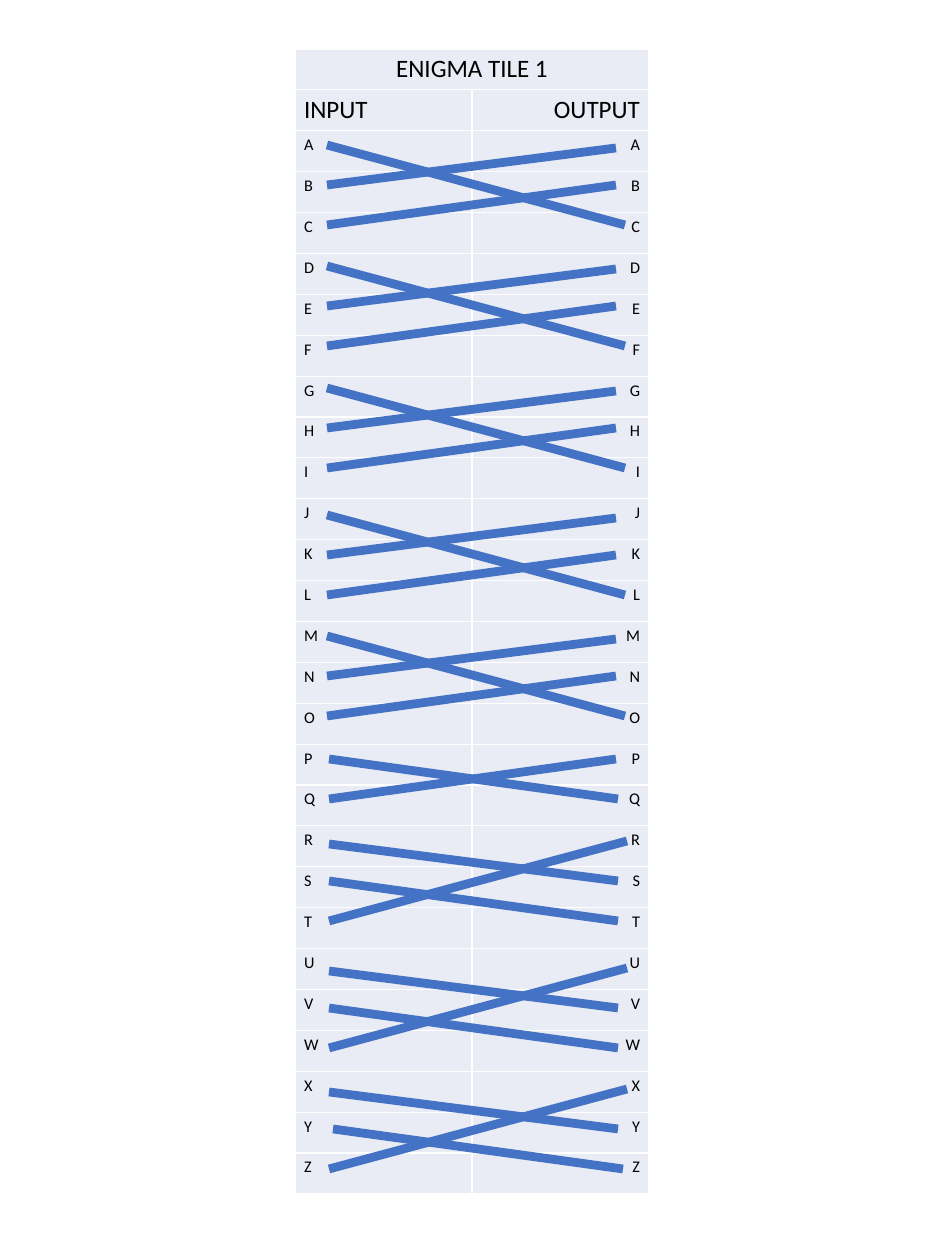
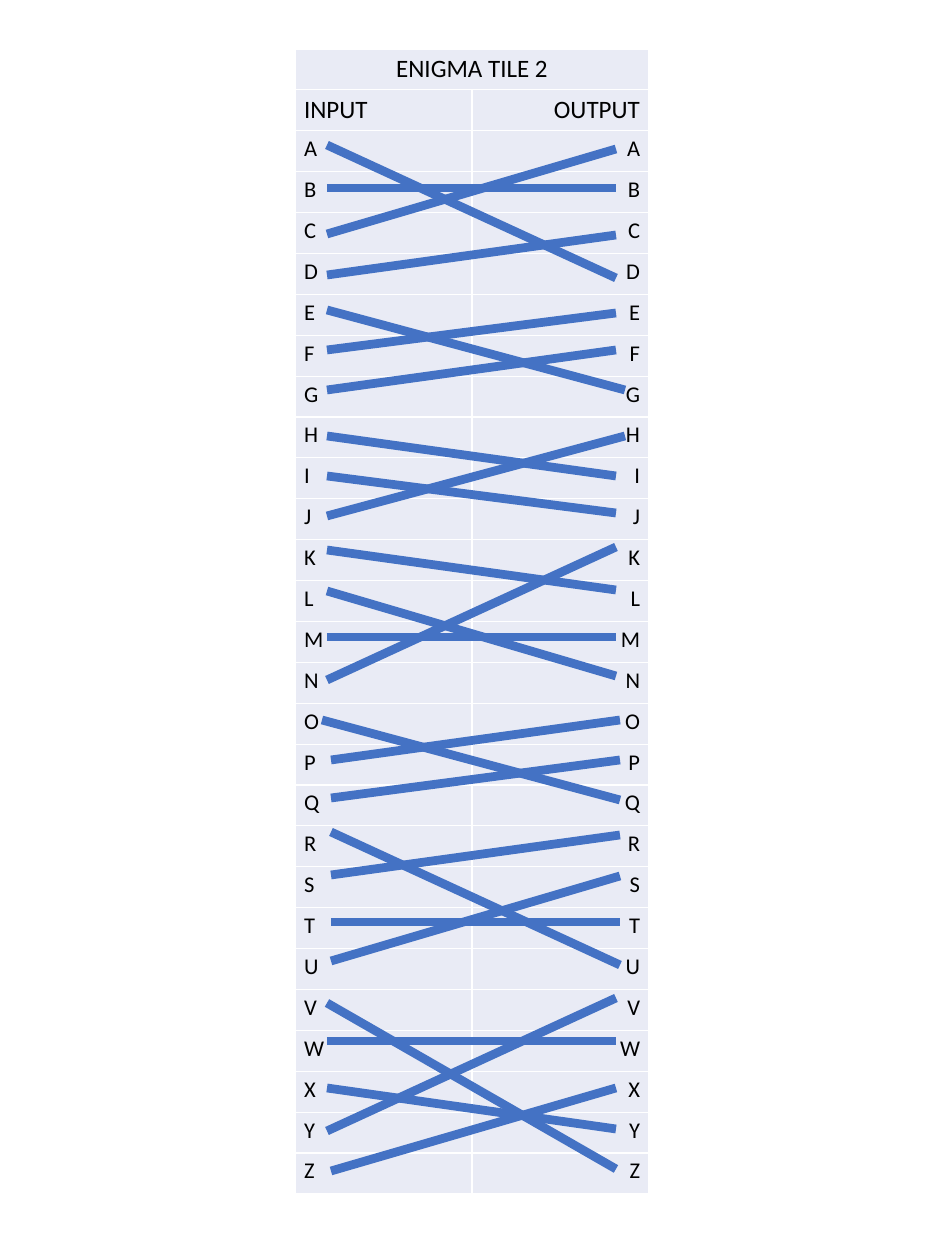
from pptx import Presentation
from pptx.dml.color import RGBColor
from pptx.enum.shapes import MSO_CONNECTOR
from pptx.enum.text import PP_ALIGN
from pptx.oxml import parse_xml
from pptx.oxml.ns import nsdecls
from pptx.util import Pt

PX = 10160  # EMU in one px, 90 px to the inch
LINE = MSO_CONNECTOR.STRAIGHT
LEFT, MID, RIGHT = PP_ALIGN.LEFT, PP_ALIGN.CENTER, PP_ALIGN.RIGHT
HEX = {"wire": "4472C4", "cell": "E9EBF5", "edge": "FFFFFF", "text": "000000"}
FONT = "Calibri"
ABC = "ABCDEFGHIJKLMNOPQRSTUVWXYZ"
ROWS = len(ABC) + 2
SPAN = 289  # px from the left ends of the wires to the right ends

# Wire patterns: left shift, left y, right shift, right y
DROP = [(0, 0, 9, 80), (0, 80, 0, 40), (0, 40, 0, 3)]
FLIP = [(0, 80, 9, 0), (0, 0, 0, 40), (0, 40, 0, 77)]
TURN = [(-9, 0, 0, 80), (0, 40, 0, 0), (0, 78, 0, 40)]
RISE = [(0, 80, 9, 0), (0, 40, 0, 80), (0, 3, 0, 40)]
LAST = [(0, 80, 9, 0), (4, 40, 5, 80), (0, 3, 0, 40)]
SWAP = [(0, 40, -2, 0), (0, 0, 0, 40)]
FOUR = [(0, 0, 0, 133), (0, 130, 0, 90), (0, 43, 0, 43), (0, 89, 0, 4)]
FOUR_FLIP = [(a, 133 - y, b, 133 - z) for a, y, b, z in FOUR]
FOUR_TURN = [(b, 133 - z, a, 133 - y) for a, y, b, z in FOUR]
FIVE = [(0, 133, 0, 0), (0, 90, 0, 131), (0, 43, 0, 43),
        (0, 5, 0, 171), (4, 173, 0, 90)]

# Each tile: title, letter size, bundles of (group or 0, left, top, pattern)
TILES = [
    ("ENIGMA TILE 1", 13,
     [(0, 327, top, DROP) for top in (145, 266, 388, 515, 636)]
     + [(0, 329, 759, SWAP), (0, 329, 841, RISE),
        (0, 329, 968, RISE), (0, 329, 1089, LAST)]),
    ("ENIGMA TILE 2", 18,
     [(1, 327, 145, FOUR), (1, 327, 310, DROP),
      (2, 327, 547, FOUR_FLIP), (2, 327, 436, FLIP),
      (3, 331, 832, FOUR_TURN), (3, 331, 720, TURN),
      (0, 327, 998, FIVE)]),
]


def write(cell, text, size=20, align=LEFT):
    para = cell.text_frame.paragraphs[0]
    para.alignment = align
    run = para.add_run()
    run.text = text
    run.font.size = Pt(size)
    run.font.name = FONT
    run.font.color.rgb = RGBColor.from_string(HEX["text"])


def paint(cell):
    props = cell._tc.get_or_add_tcPr()
    for side in "LRTB":
        props.append(parse_xml(
            f'<a:ln{side} {nsdecls("a")} w="12700"><a:solidFill>'
            f'<a:srgbClr val="{HEX["edge"]}"/></a:solidFill></a:ln{side}>'))
    cell.fill.solid()
    cell.fill.fore_color.rgb = RGBColor.from_string(HEX["cell"])


prs = Presentation()
prs.slide_width = 945 * PX
prs.slide_height = 1260 * PX

for title, size, bundles in TILES:
    slide = prs.slides.add_slide(prs.slide_layouts[6])

    # Letter table
    table = slide.shapes.add_table(
        ROWS, 2, 295 * PX, 49 * PX, 354 * PX, 1145 * PX).table
    table.first_row = table.horz_banding = False
    for row in table.rows:
        row.height = 1145 * PX // ROWS
        for cell in row.cells:
            paint(cell)
    table.cell(0, 0).merge(table.cell(0, 1))
    write(table.cell(0, 0), title, align=MID)
    write(table.cell(1, 0), "INPUT")
    write(table.cell(1, 1), "OUTPUT", align=RIGHT)
    for num, letter in enumerate(ABC, 2):
        write(table.cell(num, 0), letter, size)
        write(table.cell(num, 1), letter, size, RIGHT)

    # Wires
    hosts = {0: slide.shapes}
    for group, left, top, wires in bundles:
        if group not in hosts:
            hosts[group] = slide.shapes.add_group_shape().shapes
        for dx, y, dx2, y2 in wires:
            wire = hosts[group].add_connector(
                LINE, (left + dx) * PX, (top + y) * PX,
                (left + SPAN + dx2) * PX, (top + y2) * PX)
            wire.line.width = Pt(7)
            wire.line.color.rgb = RGBColor.from_string(HEX["wire"])
            wire._element.spPr.append(
                parse_xml(f'<a:effectLst {nsdecls("a")}/>'))

prs.save("out.pptx")
